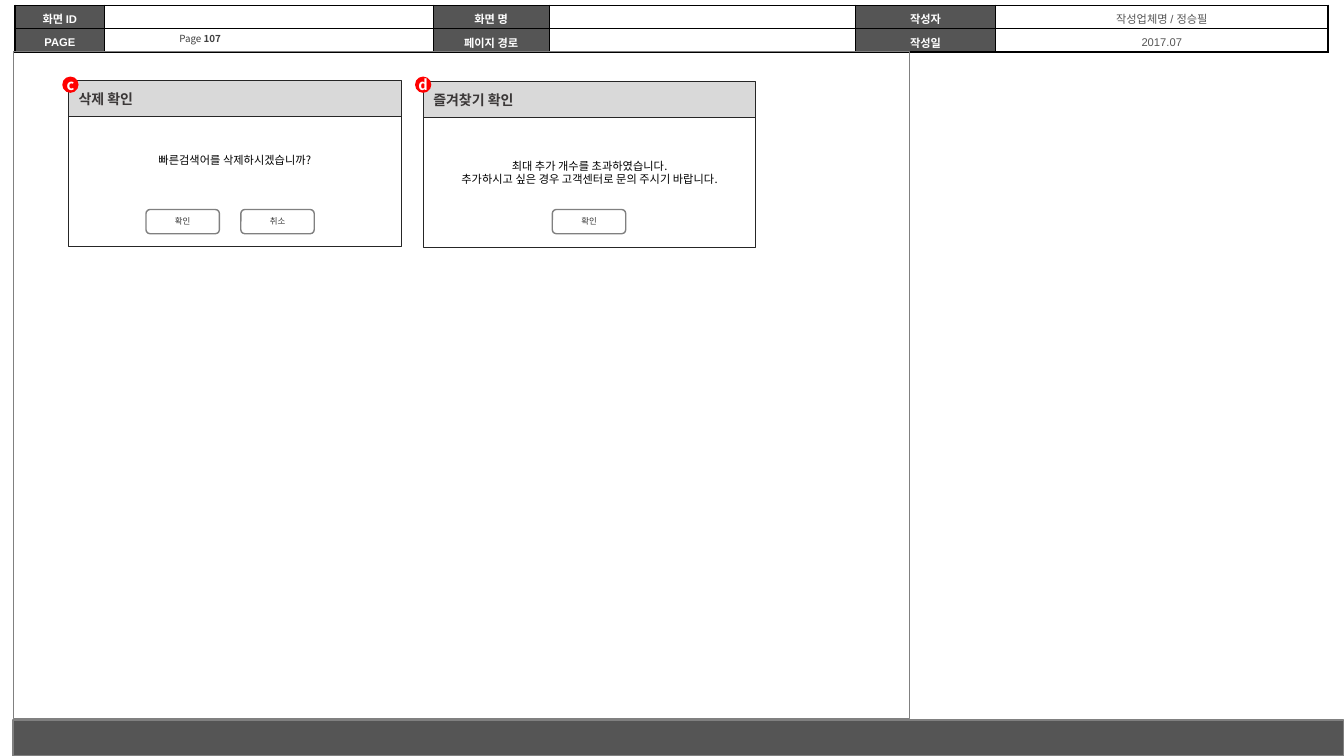
from lxml import etree
from pptx import Presentation
from pptx.dml.color import RGBColor
from pptx.enum import shapes, text
from pptx.oxml import ns
from pptx.util import Cm, Pt

WHITE = RGBColor(0xFF, 0xFF, 0xFF)
BLACK = RGBColor(0x00, 0x00, 0x00)
RED = RGBColor(0xFF, 0x00, 0x00)
DARK = RGBColor(0x55, 0x55, 0x55)
GRAY = RGBColor(0x80, 0x80, 0x80)
LIGHT = RGBColor(0xD9, 0xD9, 0xD9)
FRAME = RGBColor(0x26, 0x26, 0x26)
HEADING = RGBColor(0x3B, 0x38, 0x38)
BUTTON_TEXT = RGBColor(0x37, 0x37, 0x37)
PAGE_TEXT = RGBColor(0x40, 0x40, 0x40)
KOREAN = "Noto Sans CJK KR"

INFO_ROWS = [
    ["화면 ID", "", "화면 명", "", "작성자", "작성업체명 / 정승필"],
    ["PAGE", "", "페이지 경로", "", "작성일", "2017.07"],
]
INFO_WIDTHS = [2.26, 8.28, 2.92, 7.72, 3.53, 8.38]
INFO_ROW_HEIGHT = 0.59

DIALOGS = [
    {"mark": "c", "mark_left": 1.57, "left": 1.73, "top": 2.03,
     "title": "삭제 확인", "message_top": 3.73,
     "message": ["빠른검색어를 삭제하시겠습니까?"],
     "buttons": ["확인", "취소"], "buttons_left": 3.68},
    {"mark": "d", "mark_left": 10.46, "left": 10.67, "top": 2.06,
     "title": "즐겨찾기 확인", "message_top": 3.89,
     "message": ["최대 추가 개수를 초과하였습니다.",
                 "추가하시고 싶은 경우 고객센터로 문의 주시기 바랍니다."],
     "buttons": ["확인"], "buttons_left": 13.92},
]
DIALOG_WIDTH, HEADER_HEIGHT, BODY_HEIGHT = 8.38, 0.91, 3.28
BUTTON_TOP, BUTTON_WIDTH, BUTTON_HEIGHT, BUTTON_STEP = 5.28, 1.85, 0.61, 2.39
MARK_TOP, MARK_SIZE = 1.93, 0.41


def format_text(frame, size, color, bold=False, align=text.PP_ALIGN.CENTER, latin=KOREAN):
    for para in frame.paragraphs:
        para.alignment = align
        for span in para.runs:
            font = span.font
            font.size, font.bold, font.name = Pt(size), bold, latin
            font.color.rgb = color
            east = etree.SubElement(font._element, ns.qn("a:ea"))
            east.set("typeface", KOREAN)


def add_box(page, kind, place, fill=None, line=None, width=0.75):
    box = page.shapes.add_shape(kind, *map(Cm, place))
    box.shadow.inherit = False
    if fill is None:
        box.fill.background()
    else:
        box.fill.solid()
        box.fill.fore_color.rgb = fill
    if line is None:
        box.line.fill.background()
    else:
        box.line.color.rgb = line
        box.line.width = Pt(width)
    return box


def add_label(box, label, size, color, **style):
    frame = box.text_frame
    frame.text = label
    frame.vertical_anchor = text.MSO_ANCHOR.MIDDLE
    format_text(frame, size, color, **style)
    return frame


def add_borders(cell):
    properties = cell._tc.get_or_add_tcPr()
    for side in ("a:lnL", "a:lnR", "a:lnT", "a:lnB"):
        line = etree.SubElement(properties, ns.qn(side), w=str(Pt(1)))
        fill = etree.SubElement(line, ns.qn("a:solidFill"))
        etree.SubElement(fill, ns.qn("a:srgbClr"), val=str(BLACK))


def add_info_table(page):
    shape = page.shapes.add_table(
        len(INFO_ROWS), len(INFO_WIDTHS), Cm(0.38), Cm(0.13),
        Cm(sum(INFO_WIDTHS)), Cm(INFO_ROW_HEIGHT * len(INFO_ROWS)))
    table = shape.table
    table.first_row = table.horz_banding = False
    for column, width in zip(table.columns, INFO_WIDTHS):
        column.width = Cm(width)
    for row, labels in zip(table.rows, INFO_ROWS):
        row.height = Cm(INFO_ROW_HEIGHT)
        for index, (cell, label) in enumerate(zip(row.cells, labels)):
            is_label = index % 2 == 0
            add_borders(cell)
            if is_label:
                cell.fill.solid()
                cell.fill.fore_color.rgb = DARK
            else:
                cell.fill.background()
            cell.vertical_anchor = text.MSO_ANCHOR.MIDDLE
            cell.margin_top, cell.margin_bottom = Cm(0.1), Cm(0)
            if label:
                cell.text = label
                format_text(cell.text_frame, 8, WHITE if is_label else DARK,
                            bold=is_label, latin="Arial")
            else:
                para = cell.text_frame.paragraphs[0]
                etree.SubElement(para._p, ns.qn("a:endParaRPr"), sz="800")


def add_page_number(page):
    box = page.shapes.add_textbox(Cm(3.23), Cm(0.66), Cm(3.63), Cm(0.64))
    frame = box.text_frame
    frame.word_wrap = True
    frame.margin_top = frame.margin_bottom = Cm(0.1)
    frame.vertical_anchor = text.MSO_ANCHOR.MIDDLE
    frame.text = "Page "
    number = frame.paragraphs[0].add_run()
    number.text = "107"
    format_text(frame, 7, PAGE_TEXT)
    number.font.bold = True


def add_dialog(page, dialog):
    preset = shapes.MSO_SHAPE
    left, top = dialog["left"], dialog["top"]
    header = add_box(page, preset.RECTANGLE, (left, top, DIALOG_WIDTH, HEADER_HEIGHT),
                     LIGHT, FRAME)
    add_label(header, dialog["title"], 10, HEADING, bold=True, align=text.PP_ALIGN.LEFT)
    add_box(page, preset.RECTANGLE,
            (left, top + HEADER_HEIGHT, DIALOG_WIDTH, BODY_HEIGHT), line=FRAME)

    message = page.shapes.add_textbox(
        Cm(left), Cm(dialog["message_top"]), Cm(DIALOG_WIDTH),
        Cm(0.27 + 0.34 * len(dialog["message"])))
    message.text_frame.word_wrap = True
    message.text_frame.text = "\n".join(dialog["message"])
    format_text(message.text_frame, 8, BLACK)

    for index, label in enumerate(dialog["buttons"]):
        button_left = dialog["buttons_left"] + index * BUTTON_STEP
        button = add_box(page, preset.ROUNDED_RECTANGLE,
                         (button_left, BUTTON_TOP, BUTTON_WIDTH, BUTTON_HEIGHT),
                         WHITE, GRAY, 1)
        add_label(button, label, 6, BUTTON_TEXT)

    mark = add_box(page, preset.OVAL,
                   (dialog["mark_left"], MARK_TOP, MARK_SIZE, MARK_SIZE), RED)
    frame = add_label(mark, dialog["mark"], 10.5, WHITE, bold=True)
    frame.word_wrap = False
    frame.margin_left = frame.margin_right = frame.margin_top = frame.margin_bottom = 0


def main():
    """Build the screen specification page with two confirmation dialogs."""
    deck = Presentation()
    deck.slide_width, deck.slide_height = Cm(33.87), Cm(19.05)
    page = deck.slides.add_slide(deck.slide_layouts[6])
    add_info_table(page)
    add_box(page, shapes.MSO_SHAPE.RECTANGLE, (0.33, 1.3, 22.58, 16.81), line=GRAY)
    add_box(page, shapes.MSO_SHAPE.RECTANGLE, (0.33, 18.14, 33.53, 0.91), DARK, GRAY, 1)
    add_page_number(page)
    for dialog in DIALOGS:
        add_dialog(page, dialog)
    deck.save("out.pptx")


if __name__ == "__main__":
    main()
